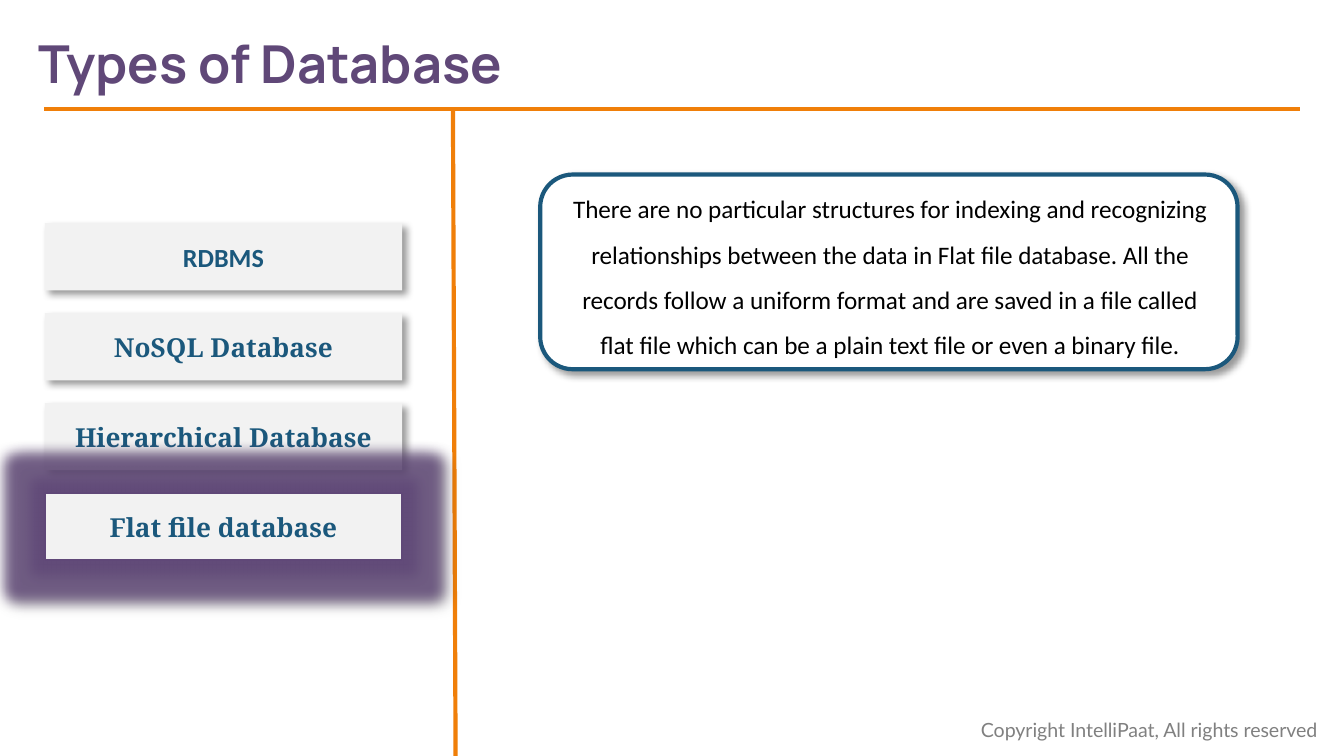
from lxml.etree import SubElement
from pptx import Presentation
from pptx.dml.color import RGBColor as RGB
from pptx.enum.shapes import MSO_CONNECTOR as Connector, MSO_SHAPE as Shape
from pptx.enum.text import MSO_ANCHOR as Anchor, MSO_AUTO_SIZE as AutoSize, PP_ALIGN as Align
from pptx.oxml.ns import qn
from pptx.util import Cm, Pt

# Content
TITLE = "Types of Database"
COPYRIGHT = "Copyright IntelliPaat, All rights reserved"
DATABASE_TYPES = [
    ("RDBMS", "Calibri"),
    ("NoSQL Database", "Noto Serif"),
    ("Hierarchical Database", "Noto Serif"),
    ("Flat file database", "Noto Serif"),
]
SELECTED = "Flat file database"
DESCRIPTION = (
    "There are no particular structures for indexing and recognizing "
    "relationships between the data in Flat file database. All the records "
    "follow a uniform format and are saved in a file called flat file which "
    "can be a plain text file or even a binary file."
)

THEME = {
    "purple": "604878", "orange": "F07F09", "blue": "1B587C",
    "panel": "F2F2F2", "white": "FFFFFF", "black": "000000", "grey": "808080",
    "title": 28, "label": 14, "body": 13.5, "footer": 10.5,
    "rule": 2.25, "outline": 1,
}

# Layout in centimetres
BUTTON_LEFT, BUTTON_TOP, BUTTON_WIDTH, BUTTON_HEIGHT = 0.85, 4.22, 6.75, 1.27
BUTTON_PITCH = 1.7
BUTTON_INSET = 0.13


def color(name):
    return RGB.from_string(THEME[name])


def assign(target, values):
    for key, value in values.items():
        setattr(target, key, value)


def write(frame, wording, font, size, tint, bold=False, paragraph=None, **frame_format):
    assign(frame, frame_format)
    line = frame.paragraphs[0]
    assign(line, paragraph or {})
    run = line.add_run()
    run.text = wording
    assign(run.font, {"name": font, "size": Pt(THEME[size]), "bold": bold})
    run.font.color.rgb = color(tint)


def add_effect(effects, tag, tint, alpha, **geometry):
    effect = SubElement(effects, qn(tag), {k: str(v) for k, v in geometry.items()})
    shade = SubElement(effect, qn("a:srgbClr"), val=THEME[tint])
    SubElement(shade, qn("a:alpha"), val=str(alpha * 1000))


def add_panel(shapes, kind, box, fill, outline=None, width="outline", glow=False):
    panel = shapes.add_shape(kind, *map(Cm, box))
    panel.fill.solid()
    panel.fill.fore_color.rgb = color(fill)
    if outline:
        panel.line.color.rgb = color(outline)
        panel.line.width = Pt(THEME[width])
    else:
        panel.line.fill.background()
    panel.shadow.inherit = False
    effects = panel._element.spPr.find(qn("a:effectLst"))
    if glow:
        add_effect(effects, "a:glow", "purple", 80, rad=Pt(14))
    add_effect(effects, "a:outerShdw", "black", 40, blurRad=Pt(4), dist=Pt(3),
               dir=45 * 60000, algn="tl", rotWithShape=0)
    return panel


def add_rule(shapes, *ends):
    rule = shapes.add_connector(Connector.STRAIGHT, *map(Cm, ends))
    rule.line.color.rgb = color("orange")
    rule.line.width = Pt(THEME["rule"])
    SubElement(rule._element.spPr, qn("a:effectLst"))


def add_words(shapes, box, *words, **options):
    frame = shapes.add_textbox(*map(Cm, box)).text_frame
    write(frame, *words, auto_size=AutoSize.SHAPE_TO_FIT_TEXT, **options)


def main():
    deck = Presentation()
    assign(deck, {"slide_width": Cm(25.4), "slide_height": Cm(14.29)})
    shapes = deck.slides.add_slide(deck.slide_layouts[6]).shapes

    # Footer, title and rules
    add_words(shapes, (18.29, 13.44, 7.11, 0.71), COPYRIGHT, "Lato", "footer", "grey",
              word_wrap=False)
    add_rule(shapes, 24.56, 2.06, 0.84, 2.06)
    add_words(shapes, (0.48, 0.46, 9.27, 1.45), TITLE, "Manrope", "title", "purple",
              bold=True, word_wrap=False)
    add_rule(shapes, 8.56, 2.08, 8.61, 14.29)

    # Database types
    insets = {f"margin_{side}": Cm(BUTTON_INSET) for side in ("left", "top", "right", "bottom")}
    for row, (database, font) in enumerate(DATABASE_TYPES):
        selected = database == SELECTED
        box = (BUTTON_LEFT, BUTTON_TOP + row * BUTTON_PITCH, BUTTON_WIDTH, BUTTON_HEIGHT)
        button = add_panel(shapes, Shape.RECTANGLE, box, "panel",
                           outline="purple" if selected else None, glow=selected)
        write(button.text_frame, database, font, "label", "blue", bold=True,
              paragraph={"alignment": Align.CENTER}, word_wrap=True,
              vertical_anchor=Anchor.MIDDLE, **insets)

    # Description callout
    callout = shapes.add_group_shape().shapes
    add_panel(callout, Shape.ROUNDED_RECTANGLE, (10.21, 3.3, 13.18, 3.68), "white",
              outline="blue", width="rule")
    add_words(callout, (10.52, 3.25, 12.6, 4.06), DESCRIPTION, "Calibri", "body", "black",
              paragraph={"alignment": Align.CENTER, "line_spacing": 1.5}, word_wrap=True)

    deck.save("out.pptx")


if __name__ == "__main__":
    main()
